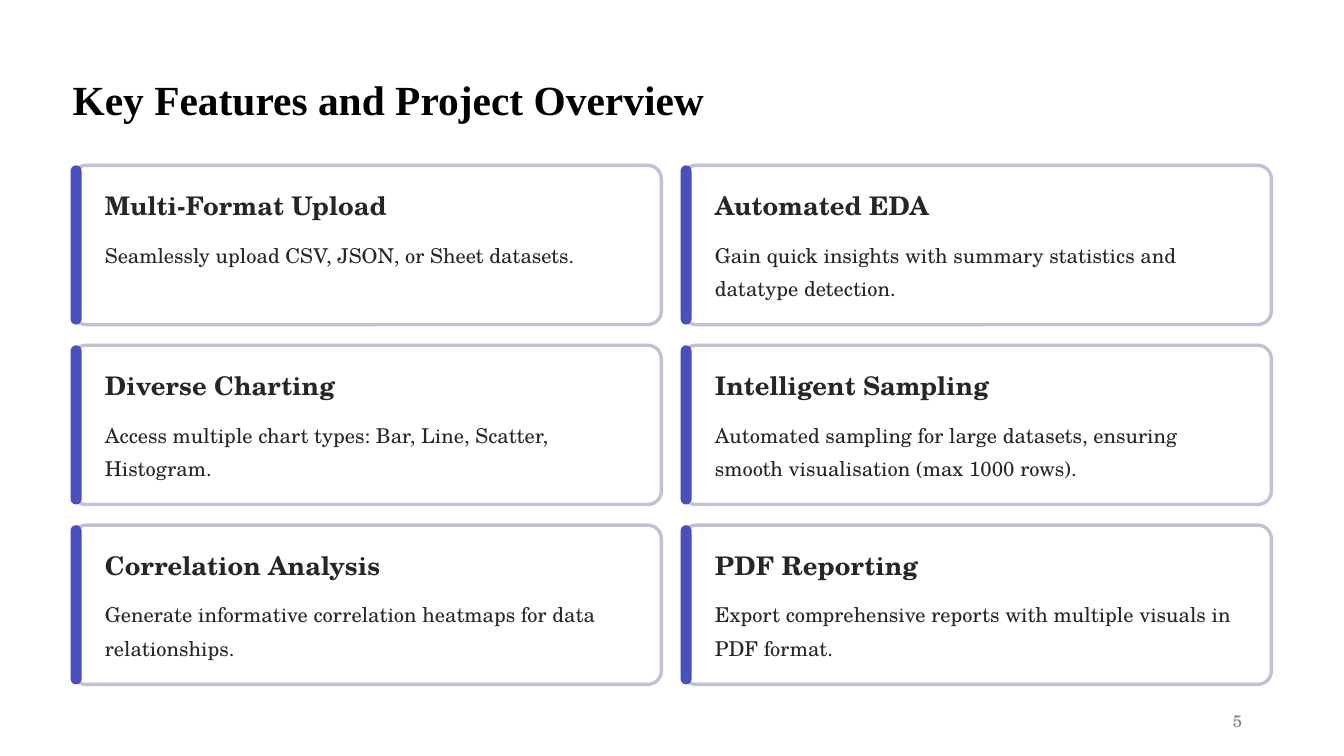
"""Build the key features slide: a title above a grid of six accented cards."""
from dataclasses import dataclass
from typing import Any

from pptx import Presentation
from pptx import util as u
from pptx.dml.color import RGBColor
from pptx.enum import shapes, text

SLIDE_W, SLIDE_H = 13.33, 7.5
LEFT, TOP, BOTTOM_TOP = 0.72, 1.64, 5.21
CARD_W, CARD_H = 5.84, 1.58
COLS, ROWS = 2, 3
COL_STEP = 6.05
ROW_STEP = (BOTTOM_TOP - TOP) / (ROWS - 1)
PAD_X = 0.32
LINE_H = 0.33

BLACK = RGBColor(0x00, 0x00, 0x00)
WHITE = RGBColor(0xFF, 0xFF, 0xFF)
INK = RGBColor(0x27, 0x25, 0x25)
GREY = RGBColor(0x79, 0x79, 0x79)
BORDER = RGBColor(0xC0, 0xC1, 0xD7)
ACCENT = RGBColor(0x49, 0x50, 0xBC)

SERIF, SCHOLA = "Times New Roman", "TeX Gyre Schola"


@dataclass(frozen=True)
class Box:
    """A rectangle in inches."""
    x: float
    y: float
    w: float
    h: float

    def emu(self) -> tuple[int, int, int, int]:
        """Return the rectangle in drawing units."""
        return u.Inches(self.x), u.Inches(self.y), u.Inches(self.w), u.Inches(self.h)


@dataclass(frozen=True)
class TextStyle:
    """The look of a single paragraph."""
    font: dict[str, Any]
    color: RGBColor
    spacing: float | None = None
    align: text.PP_ALIGN = text.PP_ALIGN.LEFT
    anchor: text.MSO_ANCHOR = text.MSO_ANCHOR.TOP
    wrap: bool = False
    inset: bool = False


@dataclass(frozen=True)
class Feature:
    """A card's heading, description and number of description lines."""
    heading: str
    body: str
    lines: int = 2


TITLE = TextStyle({"name": SERIF, "size": u.Pt(29.6), "bold": True}, BLACK, 37.1)
HEADING = TextStyle({"name": SCHOLA, "size": u.Pt(18.3), "bold": True}, INK, 22.9)
BODY = TextStyle({"name": SCHOLA, "size": u.Pt(14.6)}, INK, 23.8, wrap=True)
NUMBER = TextStyle({"name": SCHOLA, "size": u.Pt(12)}, GREY, align=text.PP_ALIGN.RIGHT,
                   anchor=text.MSO_ANCHOR.MIDDLE, wrap=True, inset=True)

FEATURES = [
    Feature("Multi-Format Upload", "Seamlessly upload CSV, JSON, or Sheet datasets.", 1),
    Feature("Automated EDA",
            "Gain quick insights with summary statistics and datatype detection."),
    Feature("Diverse Charting",
            "Access multiple chart types: Bar, Line, Scatter, Histogram."),
    Feature("Intelligent Sampling",
            "Automated sampling for large datasets, ensuring smooth visualisation (max 1000 rows)."),
    Feature("Correlation Analysis",
            "Generate informative correlation heatmaps for data relationships."),
    Feature("PDF Reporting",
            "Export comprehensive reports with multiple visuals in PDF format."),
]


def write(sp: Any, content: str, style: TextStyle) -> None:
    """Fill a shape with one formatted paragraph."""
    tf = sp.text_frame
    frame = {"auto_size": text.MSO_AUTO_SIZE.NONE, "word_wrap": style.wrap,
             "vertical_anchor": style.anchor}
    if not style.inset:
        frame |= dict.fromkeys(
            ("margin_left", "margin_top", "margin_right", "margin_bottom"), 0)
    for name, value in frame.items():
        setattr(tf, name, value)
    p = tf.paragraphs[0]
    p.alignment = style.align
    if style.spacing:
        p.line_spacing = u.Pt(style.spacing)
    r = p.add_run()
    r.text = content
    for name, value in style.font.items():
        setattr(r.font, name, value)
    r.font.color.rgb = style.color


def add_text(slide: Any, box: Box, content: str, style: TextStyle) -> None:
    """Add a text box."""
    write(slide.shapes.add_textbox(*box.emu()), content, style)


def add_rounded(slide: Any, box: Box, radius: float, fill: RGBColor,
                border: RGBColor | None = None) -> None:
    """Add a rounded rectangle with an optional border."""
    sp = slide.shapes.add_shape(shapes.MSO_SHAPE.ROUNDED_RECTANGLE, *box.emu())
    sp.shadow.inherit = False
    sp.adjustments[0] = radius
    sp.fill.solid()
    sp.fill.fore_color.rgb = fill
    if border is None:
        sp.line.fill.background()
    else:
        sp.line.color.rgb = border
        sp.line.width = u.Pt(2.4)


def add_card(slide: Any, col: int, row: int, feature: Feature) -> None:
    """Draw one feature card in its grid cell."""
    x, y = LEFT + col * COL_STEP, TOP + row * ROW_STEP
    add_rounded(slide, Box(x, y, CARD_W, CARD_H), 0.085, WHITE, BORDER)
    add_rounded(slide, Box(x - 0.02, y, 0.11, CARD_H), 0.5, ACCENT)
    add_text(slide, Box(x + PAD_X, y + 0.23, 2.58, 0.32), feature.heading, HEADING)
    add_text(slide, Box(x + PAD_X, y + 0.68, 5.29, feature.lines * LINE_H),
             feature.body, BODY)


def main() -> None:
    """Build and save the slide."""
    prs = Presentation()
    prs.slide_width, prs.slide_height = u.Inches(SLIDE_W), u.Inches(SLIDE_H)
    slide = prs.slides.add_slide(prs.slide_layouts.get_by_name("Title Only"))
    slide.background.fill.solid()
    slide.background.fill.fore_color.rgb = WHITE

    title = slide.shapes.title
    title.left, title.top, title.width, title.height = Box(LEFT, 0.71, 7.05, 0.52).emu()
    write(title, "Key Features and Project Overview", TITLE)

    for i, feature in enumerate(FEATURES):
        row, col = divmod(i, COLS)
        add_card(slide, col, row, feature)

    add_text(slide, Box(9.42, 6.95, 3, 0.4), "5", NUMBER)
    prs.save("out.pptx")


if __name__ == "__main__":
    main()
